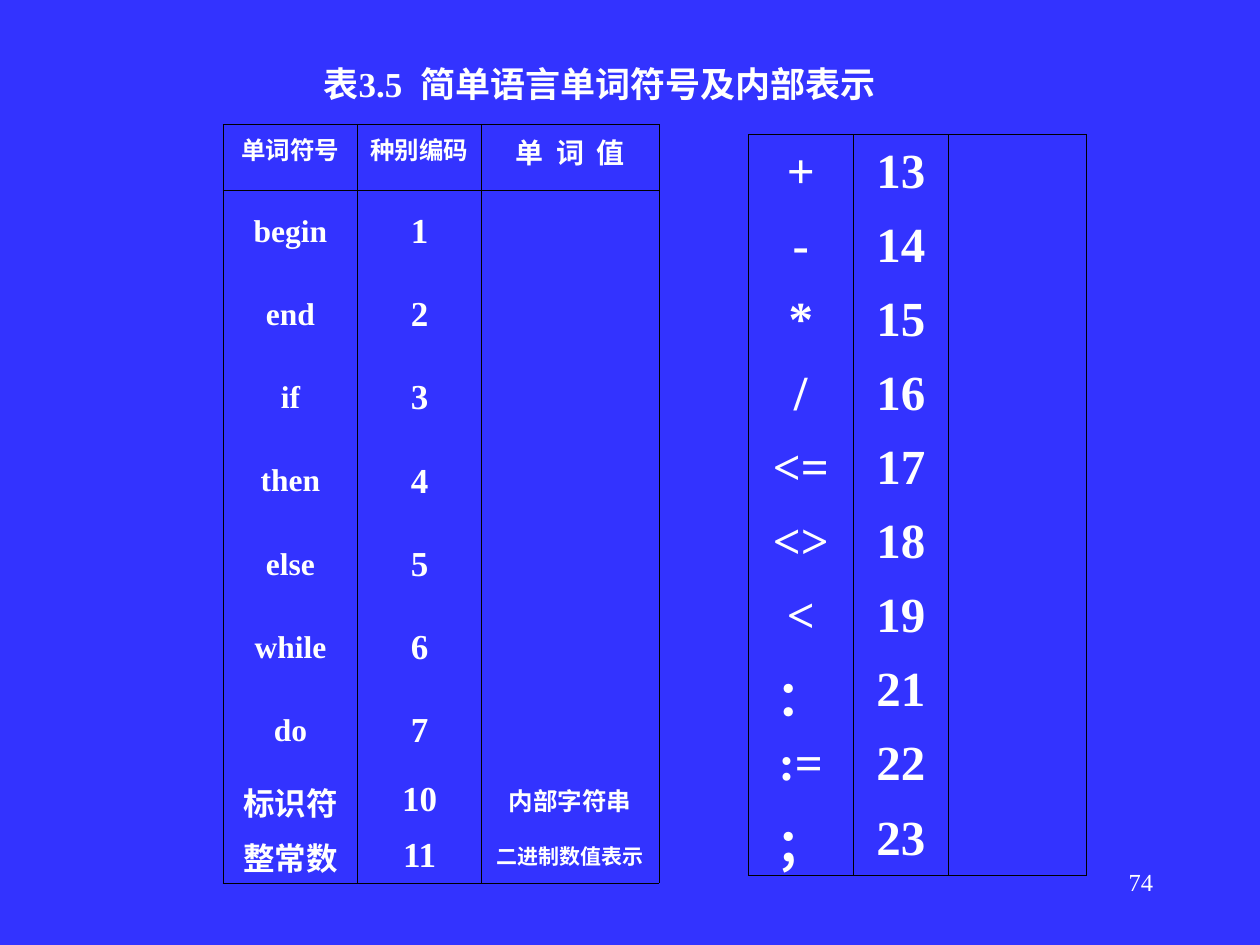
"""Build the slide listing the word symbols of a simple language and their codes."""
from dataclasses import dataclass

from lxml.etree import SubElement
from pptx import Presentation
from pptx.dml.color import RGBColor
from pptx.enum.text import MSO_ANCHOR as Anchor, MSO_AUTO_SIZE as AutoSize, PP_ALIGN as Align
from pptx.oxml.ns import qn
from pptx.util import Inches, Pt


@dataclass(frozen=True)
class Theme:
    """Colours, font and type sizes of the slide."""
    background: str = "3333FF"
    text: str = "FFFFFF"
    border: str = "000000"
    border_width: float = 0.45
    font: str = "Times New Roman"
    title: int = 20
    code: int = 20
    heading: int = 16
    word: int = 18
    small: int = 14
    tiny: int = 12
    operator: int = 28


@dataclass(frozen=True)
class SymbolRow:
    """One table row: its texts, type sizes, height and horizontal borders."""
    texts: tuple[str, str, str]
    sizes: tuple[int, int, int]
    height: float
    top: bool = False
    bottom: bool = False
    anchor: Anchor = Anchor.MIDDLE


@dataclass(frozen=True)
class SymbolTable:
    """A table of symbols with its place and column widths."""
    left: float
    top: float
    widths: tuple[float, float, float]
    rows: list[SymbolRow]


THEME = Theme()
KEYWORDS = ["begin", "end", "if", "then", "else", "while", "do"]
OPERATORS = {"+": 13, "-": 14, "*": 15, "/": 16, "<=": 17, "<>": 18,
             "<": 19, "：": 21, ":=": 22, "；": 23}
WORD_SIZES = (THEME.word, THEME.code, THEME.small)

word_rows = [
    SymbolRow(("单词符号", "种别编码", "单  词  值"), (THEME.small, THEME.small, THEME.heading),
              0.52, top=True, bottom=True, anchor=Anchor.TOP),
    *(SymbolRow((word, str(code), ""), WORD_SIZES, 0.66, top=code == 1)
      for code, word in enumerate(KEYWORDS, 1)),
    SymbolRow(("标识符", "10", "内部字符串"), WORD_SIZES, 0.44),
    SymbolRow(("整常数", "11", "二进制数值表示"), (THEME.word, THEME.code, THEME.tiny),
              0.44, bottom=True),
]
operator_rows = [
    SymbolRow((symbol, str(code), ""), (THEME.operator,) * 3, 0.588,
              top=symbol == "+", bottom=symbol == "；")
    for symbol, code in OPERATORS.items()
]
TABLES = [
    SymbolTable(1.77, 0.99, (1.07, 0.98, 1.41), word_rows),
    SymbolTable(5.94, 1.07, (0.83, 0.76, 1.09), operator_rows),
]


def write_text(frame, text: str, *, size: int, bold: bool = True, align=Align.CENTER) -> None:
    """Put formatted text into the first paragraph of a frame."""
    para = frame.paragraphs[0]
    para.alignment = align
    span = para.add_run()
    span.text = text
    span.font.name = THEME.font
    span.font.size = Pt(size)
    span.font.bold = bold
    span.font.color.rgb = RGBColor.from_string(THEME.text)


def set_borders(cell, *, top: bool, bottom: bool) -> None:
    """Draw the side borders of a cell and, where asked, its top and bottom."""
    properties = cell._tc.get_or_add_tcPr()
    for side, visible in (("L", True), ("R", True), ("T", top), ("B", bottom)):
        line = SubElement(properties, qn(f"a:ln{side}"), w=str(Pt(THEME.border_width)))
        if visible:
            fill = SubElement(line, qn("a:solidFill"))
            SubElement(fill, qn("a:srgbClr"), val=THEME.border)
        else:
            SubElement(line, qn("a:noFill"))


def draw_table(page, spec_table: SymbolTable) -> None:
    """Add a symbol table to the page."""
    rows, widths = spec_table.rows, spec_table.widths
    table = page.shapes.add_table(
        len(rows), len(widths), Inches(spec_table.left), Inches(spec_table.top),
        Inches(sum(widths)), Inches(sum(row.height for row in rows))).table
    table.first_row = table.horz_banding = False
    for column, width in zip(table.columns, widths):
        column.width = Inches(width)
    for table_row, row in zip(table.rows, rows):
        table_row.height = Inches(row.height)
        for cell, text, size in zip(table_row.cells, row.texts, row.sizes):
            set_borders(cell, top=row.top, bottom=row.bottom)
            cell.fill.background()
            cell.vertical_anchor = row.anchor
            if text:
                write_text(cell.text_frame, text, size=size)


def draw_title(page, text: str) -> None:
    """Place and format the title placeholder."""
    title = page.shapes.title
    title.left, title.top = Inches(2.24), Inches(0.44)
    title.width, title.height = Inches(5.04), Inches(0.44)
    title.text_frame.word_wrap = True
    title.text_frame.auto_size = AutoSize.SHAPE_TO_FIT_TEXT
    title.text_frame.vertical_anchor = Anchor.MIDDLE
    write_text(title.text_frame, text, size=THEME.title)


def draw_page_number(page, number: int) -> None:
    """Add the page number at the lower right."""
    box = page.shapes.add_textbox(Inches(7.17), Inches(6.83), Inches(2.08), Inches(0.5))
    box.text_frame.word_wrap = True
    write_text(box.text_frame, str(number), size=THEME.small, bold=False, align=Align.RIGHT)


def main() -> None:
    """Build and save the deck."""
    deck = Presentation()
    deck.slide_width, deck.slide_height = Inches(10), Inches(7.5)
    page = deck.slides.add_slide(deck.slide_layouts.get_by_name("Title Only"))
    page.background.fill.solid()
    page.background.fill.fore_color.rgb = RGBColor.from_string(THEME.background)
    draw_title(page, "表3.5  简单语言单词符号及内部表示")
    for symbol_table in TABLES:
        draw_table(page, symbol_table)
    draw_page_number(page, 74)
    deck.save("out.pptx")


if __name__ == "__main__":
    main()
